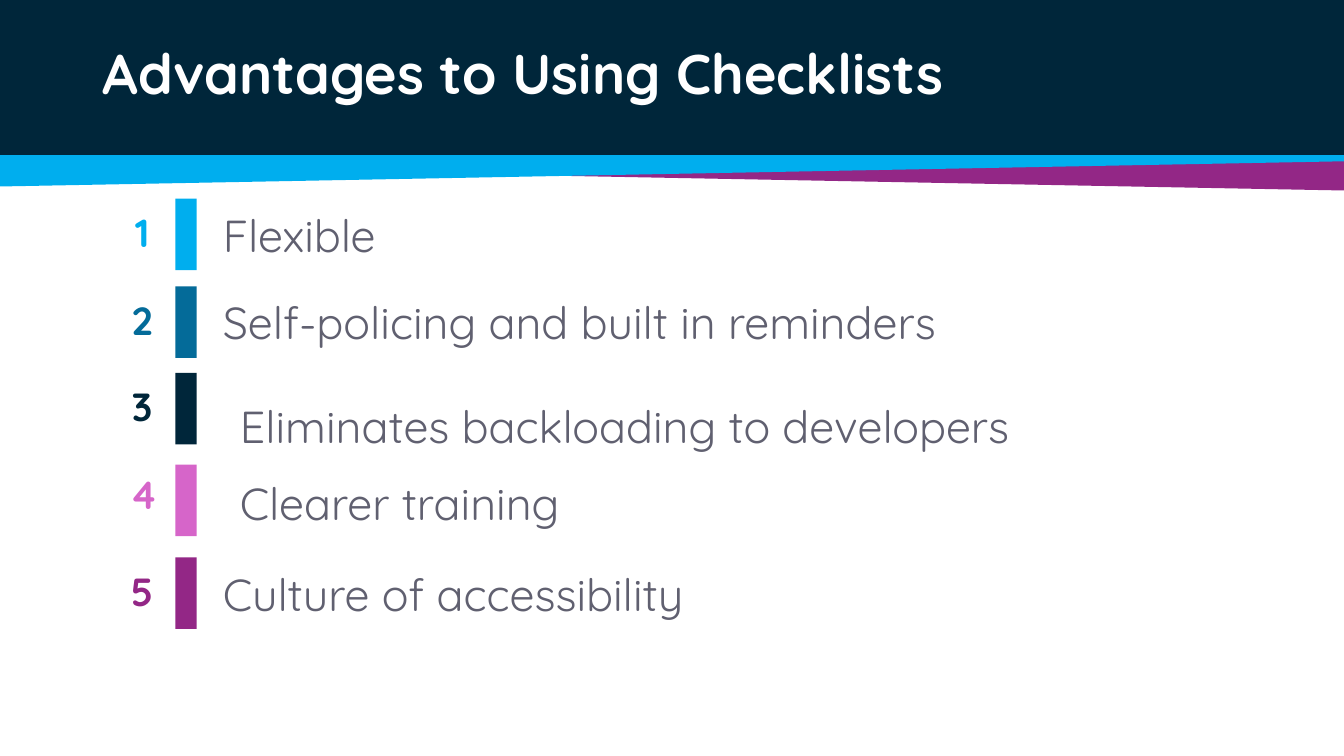
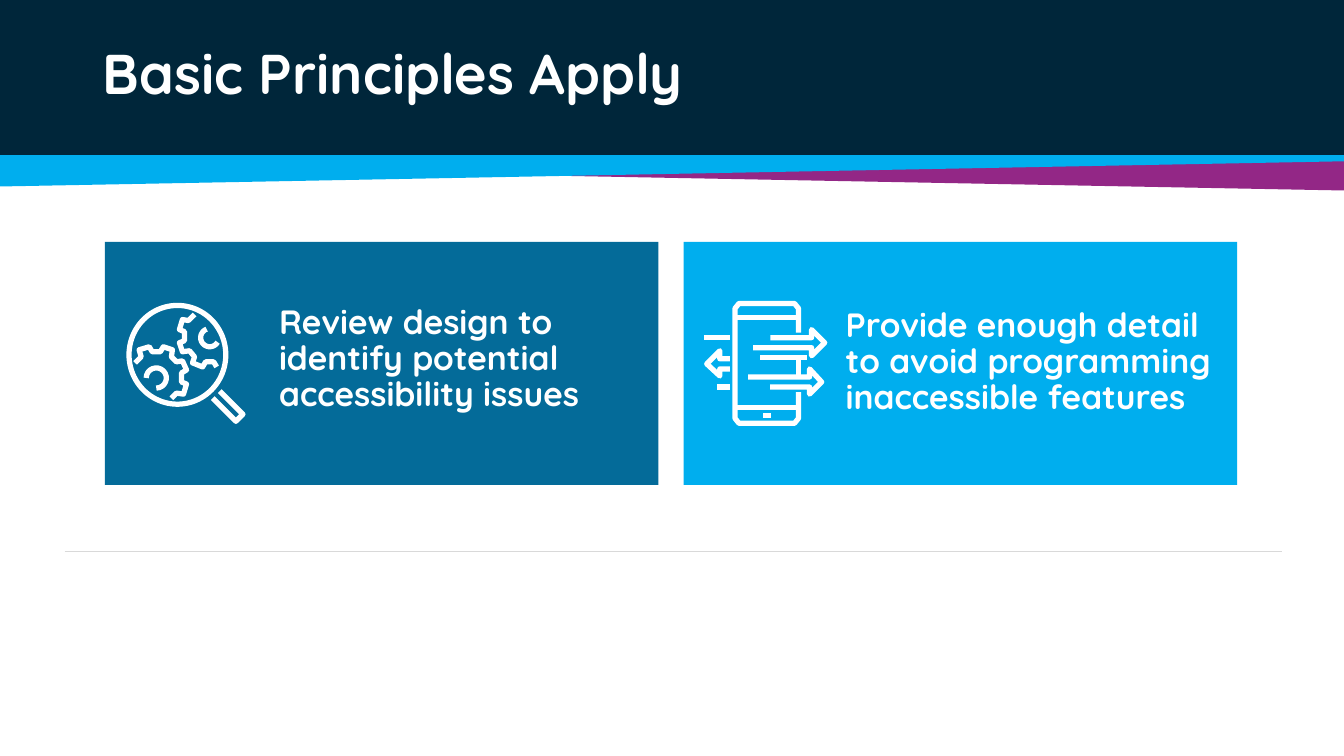
from dataclasses import dataclass
from math import cos, radians, sin

from lxml import etree
from pptx import Presentation
from pptx.dml.color import RGBColor
from pptx.enum.shapes import MSO_CONNECTOR as Connector, MSO_SHAPE as Shape
from pptx.enum.text import MSO_ANCHOR as Anchor, PP_ALIGN as Align
from pptx.oxml.ns import qn
from pptx.util import Inches, Pt


@dataclass(frozen=True)
class Theme:
    font: str = "Quicksand"
    navy: str = "00263A"
    sky: str = "00AEEE"
    blue: str = "046B99"
    purple: str = "932786"
    pink: str = "D665C9"
    white: str = "FFFFFF"
    text: str = "606070"
    rule: str = "D9D9D9"
    title_size: int = 40
    item_size: int = 32
    number_size: int = 28
    card_size: int = 24
    icon_stroke: float = 3.75


THEME = Theme()

# Number, colour, bar top, number top, text left, text top, text height
CHECKLIST = [
    ("Flexible", THEME.sky, 1.97, 2.07, 2.06, 1.97, 0.71),
    ("Self-policing and built in reminders", THEME.blue, 2.84, 2.94, 2.06, 2.84, 0.71),
    ("Eliminates backloading to developers", THEME.navy, 3.7, 3.8, 2.23, 3.89, 0.67),
    ("Clearer training", THEME.pink, 4.61, 4.67, 2.23, 4.65, 0.67),
    ("Culture of accessibility", THEME.purple, 5.53, 5.63, 2.06, 5.53, 0.71),
]

UPPER_GEAR = [
    (1.93, 3.12), (1.87, 3.18), (1.81, 3.17), (1.78, 3.27), (1.83, 3.29),
    (1.83, 3.38), (1.78, 3.4), (1.81, 3.49), (1.88, 3.48), (1.93, 3.54),
    (1.91, 3.6), (2.01, 3.64), (2.04, 3.59), (2.12, 3.59), (2.15, 3.64),
]
LOWER_GEAR = [
    (1.34, 3.6), (1.4, 3.54), (1.38, 3.47), (1.48, 3.44), (1.51, 3.49),
    (1.59, 3.49), (1.62, 3.44), (1.71, 3.47), (1.7, 3.54), (1.75, 3.59),
    (1.81, 3.58), (1.85, 3.67), (1.8, 3.7), (1.8, 3.79), (1.85, 3.81),
    (1.82, 3.91), (1.75, 3.9), (1.7, 3.95),
]
LENS_HANDLE = [(2.11, 3.95), (2.34, 4.18), (2.41, 4.11), (2.18, 3.88)]

PHONE_BODY = [
    (7.92, 3.3), (7.92, 3.06), (7.88, 3.01), (7.33, 3.01), (7.29, 3.06),
    (7.29, 4.15), (7.33, 4.2), (7.88, 4.2), (7.92, 4.15), (7.92, 3.89),
]
UPPER_ARROW = [
    (7.47, 3.45), (8.05, 3.45), (8.05, 3.53), (8.18, 3.4),
    (8.05, 3.27), (8.05, 3.35), (7.64, 3.35),
]
LOWER_ARROW = [
    (7.64, 3.84), (8.03, 3.84), (8.03, 3.91), (8.15, 3.79),
    (8.03, 3.66), (8.03, 3.74), (7.42, 3.74),
]
BACK_ARROW = [
    (7.24, 3.56), (7.14, 3.56), (7.14, 3.48), (7.01, 3.61),
    (7.14, 3.73), (7.14, 3.66), (7.24, 3.66),
]
PHONE_LINES = [
    ((7.29, 3.15), (7.92, 3.15)),
    ((7.29, 4.04), (7.92, 4.04)),
    ((7.57, 4.12), (7.65, 4.12)),
    ((7.54, 3.55), (8.0, 3.55)),
    ((6.98, 3.35), (7.24, 3.35)),
    ((7.11, 3.84), (7.24, 3.84)),
    ((7.92, 3.56), (7.92, 3.74)),
]


def fill_plain(shape, color):
    shape.shadow.inherit = False
    shape.fill.solid()
    shape.fill.fore_color.rgb = RGBColor.from_string(color)
    shape.line.fill.background()


def outline_plain(shape):
    """Leave a shape unfilled, with the round-jointed stroke of the icons."""
    shape.shadow.inherit = False
    shape.fill.background()
    shape.line.color.rgb = RGBColor.from_string(THEME.white)
    shape.line.width = Pt(THEME.icon_stroke)
    etree.SubElement(shape.line._get_or_add_ln(), qn("a:round"))


def add_rectangle(slide, left, top, width, height, color):
    box = slide.shapes.add_shape(
        Shape.RECTANGLE, Inches(left), Inches(top), Inches(width), Inches(height))
    fill_plain(box, color)


def build_path(shapes, points, close):
    corners = [(Inches(x), Inches(y)) for x, y in points]
    builder = shapes.build_freeform(*corners[0])
    builder.add_line_segments(corners[1:], close=close)
    return builder.convert_to_shape()


def add_line(shapes, start, end, color, width):
    line = shapes.add_connector(
        Connector.STRAIGHT, *(Inches(value) for value in (*start, *end)))
    line.line.color.rgb = RGBColor.from_string(color)
    line.line.width = Pt(width)
    etree.SubElement(line._element.spPr, qn("a:effectLst"))


def add_text(slide, text, left, top, width, height, size, color, bold=True,
             anchor=Anchor.TOP, align=Align.LEFT, spacing=0.9, inset=0.1):
    box = slide.shapes.add_textbox(
        Inches(left), Inches(top), Inches(width), Inches(height))
    frame = box.text_frame
    frame.word_wrap = True
    frame.vertical_anchor = anchor
    frame.margin_left = Inches(inset)
    frame.text = text
    para = frame.paragraphs[0]
    para.alignment = align
    para.line_spacing = spacing
    font = para.runs[0].font
    font.name = THEME.font
    font.size = Pt(size)
    font.bold = bold
    font.color.rgb = RGBColor.from_string(color)


def arc_points(center_x, center_y, radius, start, end, steps=16):
    """Points along an arc; angles in degrees, clockwise from the right."""
    angles = [radians(start + (end - start) * step / steps) for step in range(steps + 1)]
    return [(center_x + radius * cos(a), center_y + radius * sin(a)) for a in angles]


def add_strokes(group, paths):
    for points in paths:
        outline_plain(build_path(group.shapes, points, close=False))


def add_magnifier_icon(slide):
    group = slide.shapes.add_group_shape()
    lens = group.shapes.add_shape(
        Shape.OVAL, Inches(1.28), Inches(3.03), Inches(0.96), Inches(0.98))
    outline_plain(lens)
    add_strokes(group, [
        UPPER_GEAR, arc_points(2.08, 3.35, 0.09, 250, 30),
        LOWER_GEAR, arc_points(1.55, 3.75, 0.1, 180, 450),
        LENS_HANDLE,
    ])


def add_phone_icon(slide):
    group = slide.shapes.add_group_shape()
    add_strokes(group, [PHONE_BODY, UPPER_ARROW, LOWER_ARROW, BACK_ARROW])
    for start, end in PHONE_LINES:
        add_line(group.shapes, start, end, THEME.white, THEME.icon_stroke)


def add_titled_slide(deck, title):
    slide = deck.slides.add_slide(deck.slide_layouts[6])
    add_rectangle(slide, 0, -0.02, 13.33, 1.56, THEME.navy)
    wedges = [
        (THEME.purple, [(0, 1.64), (13.33, 1.89), (13.33, 1.59), (0, 1.59)]),
        (THEME.sky, [(13.33, 1.6), (0, 1.85), (0, 1.54), (13.33, 1.54)]),
    ]
    for color, points in wedges:
        fill_plain(build_path(slide.shapes, points, close=True), color)
    add_text(slide, title, 0.92, -0.01, 11.5, 1.54, THEME.title_size, THEME.white,
             anchor=Anchor.MIDDLE)
    return slide


def add_checklist_slide(deck):
    slide = add_titled_slide(deck, "Advantages to Using Checklists")
    for number, row in enumerate(CHECKLIST, start=1):
        text, color, bar_top, number_top, text_left, text_top, text_height = row
        add_text(slide, str(number), 1.19, number_top, 0.44, 0.53,
                 THEME.number_size, color, align=Align.CENTER)
        add_rectangle(slide, 1.74, bar_top, 0.21, 0.71, color)
        add_text(slide, text, text_left, text_top, 10.23, text_height,
                 THEME.item_size, THEME.text, bold=False,
                 anchor=Anchor.MIDDLE, spacing=1.0, inset=0.15)


def add_principles_slide(deck):
    slide = add_titled_slide(deck, "Basic Principles Apply")
    add_line(slide.shapes, (0.64, 5.47), (12.72, 5.47), THEME.rule, 1)
    cards = [
        ("Review design to identify potential accessibility issues",
         THEME.blue, 1.04, (2.67, 2.98, 3.64, 1.26), add_magnifier_icon),
        ("Provide enough detail to avoid programming inaccessible features",
         THEME.sky, 6.78, (8.29, 3.01, 3.9, 1.19), add_phone_icon),
    ]
    for text, color, left, text_area, add_icon in cards:
        add_rectangle(slide, left, 2.4, 5.49, 2.41, color)
        add_text(slide, text, *text_area, THEME.card_size, THEME.white)
        add_icon(slide)


def main():
    deck = Presentation()
    deck.slide_width = Inches(13.33)
    deck.slide_height = Inches(7.5)
    add_checklist_slide(deck)
    add_principles_slide(deck)
    deck.save("out.pptx")


if __name__ == "__main__":
    main()
